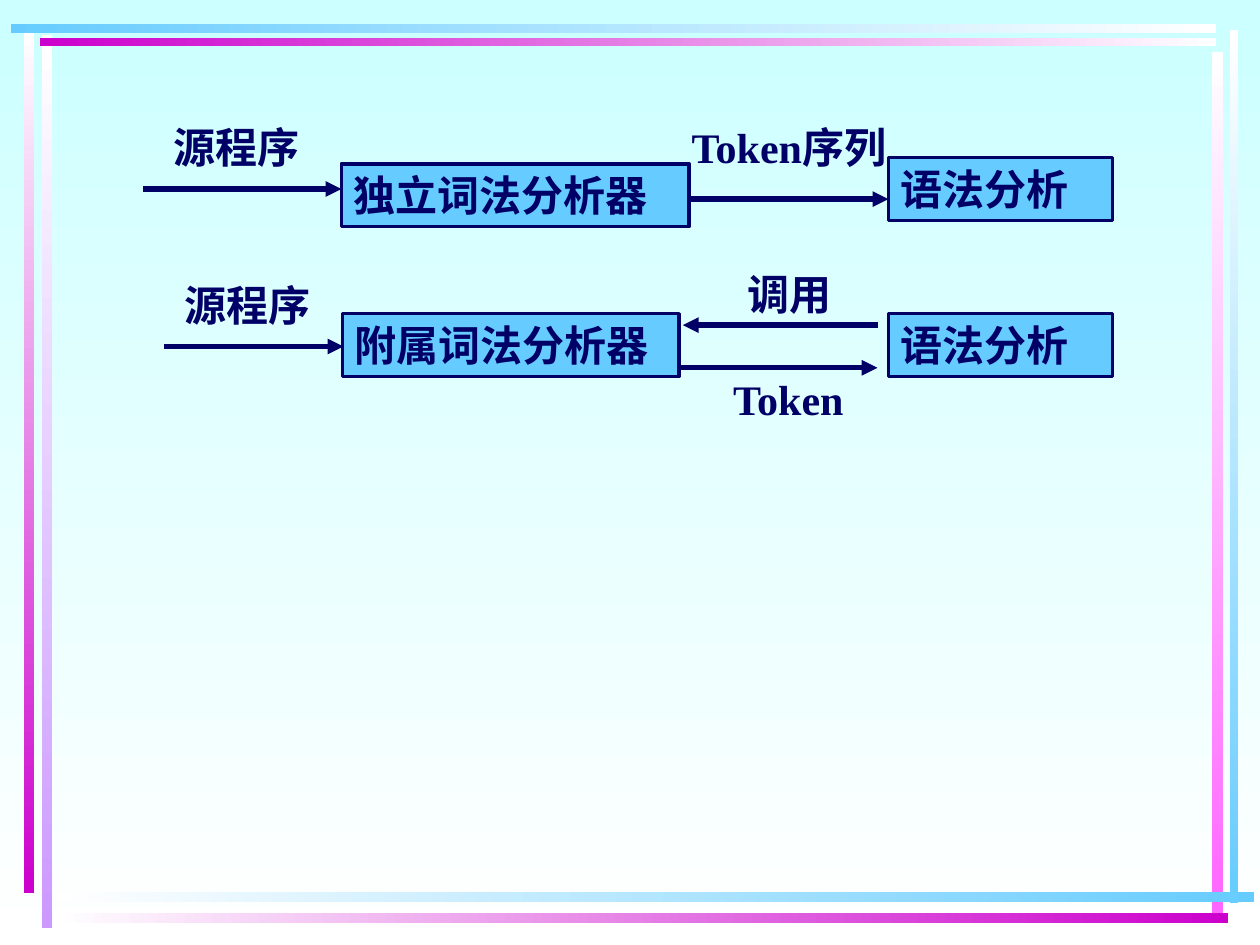
from pptx import Presentation
from pptx import util as u
from pptx.dml.color import RGBColor
from pptx.enum import shapes, text
from pptx.oxml.ns import qn
from lxml import etree

Pt = u.Pt
NAVY, SKY, WHITE, MAGENTA = "000066", "66CCFF", "FFFFFF", "CC00CC"


def rgb(value):
    return RGBColor.from_string(value)


def set_gradient(fill, colors, angle):
    fill.gradient()
    fill.gradient_angle = angle
    for stop, color, position in zip(fill.gradient_stops, colors, (0, 1)):
        stop.color.rgb = rgb(color)
        stop.position = position


prs = Presentation()
prs.slide_width, prs.slide_height = Pt(720), Pt(540)
s = prs.slides.add_slide(prs.slide_layouts[6])
set_gradient(s.background.fill, ("CCFFFF", WHITE), 270)

# Frame bars: left, top, width, height, start and end colour
bars = [
    (23.8, 20.2, 5.8, 510, WHITE, "CC99FF"),
    (13.7, 18, 5.8, 492.5, WHITE, MAGENTA),
    (702.7, 17.3, 5, 499, WHITE, SKY),
    (692.6, 30, 6.3, 492, WHITE, "FF66FF"),
    (32.4, 509.8, 684, 5.8, WHITE, SKY),
    (32.4, 521.8, 669.6, 5.8, WHITE, MAGENTA),
    (23, 21.7, 671.8, 4.4, MAGENTA, WHITE),
    (6, 13.7, 688.8, 5, SKY, WHITE),
]
for x, y, w, h, start, end in bars:
    sp = s.shapes.add_shape(shapes.MSO_SHAPE.RECTANGLE, Pt(x), Pt(y), Pt(w), Pt(h))
    sp.shadow.inherit = False
    sp.line.fill.background()
    set_gradient(sp.fill, (start, end), 270 if h > w else 0)

# Boxes and labels: text, left, top, width, boxed
items = [
    ("独立词法分析器", 195.1, 93.6, 198.7, True),
    ("语法分析", 507.6, 90, 128.2, True),
    ("Token序列", 388.1, 66.2, 143.3, False),
    ("源程序", 92.2, 66.2, 91.4, False),
    ("附属词法分析器", 195.8, 179.3, 192.2, True),
    ("语法分析", 507.6, 179.3, 128.2, True),
    ("调用", 419.8, 149.8, 82, False),
    ("Token", 411.8, 210.2, 97.2, False),
    ("源程序", 98.6, 156.2, 91.4, False),
]
for label, x, y, w, boxed in items:
    place = Pt(x), Pt(y), Pt(w), Pt(36)
    if boxed:
        sp = s.shapes.add_shape(shapes.MSO_SHAPE.RECTANGLE, *place)
        sp.shadow.inherit = False
        sp.fill.solid()
        sp.fill.fore_color.rgb = rgb(SKY)
        sp.line.color.rgb = rgb(NAVY)
        sp.line.width = Pt(2)
    else:
        sp = s.shapes.add_textbox(*place)
    tf = sp.text_frame
    tf.word_wrap = True
    tf.vertical_anchor = text.MSO_ANCHOR.TOP
    p = tf.paragraphs[0]
    p.alignment = text.PP_ALIGN.LEFT
    r = p.add_run()
    r.text = label
    r.font.name = "Times New Roman"
    r.font.size = Pt(24)
    r.font.bold = True
    r.font.color.rgb = rgb(NAVY)

# Horizontal arrows: start x, end x, y
arrows = [
    (82, 195.1, 108), (393.8, 507.6, 113.8), (93.6, 196.2, 198),
    (501.8, 390.2, 185.8), (388.1, 501.4, 210.2),
]
for x1, x2, y in arrows:
    line = s.shapes.add_connector(
        shapes.MSO_CONNECTOR.STRAIGHT, Pt(x1), Pt(y), Pt(x2), Pt(y))
    line.line.color.rgb = rgb(NAVY)
    line.line.width = Pt(3)
    etree.SubElement(line.line._get_or_add_ln(), qn("a:tailEnd"), type="triangle")
    etree.SubElement(line._element.spPr, qn("a:effectLst"))

prs.save("out.pptx")
